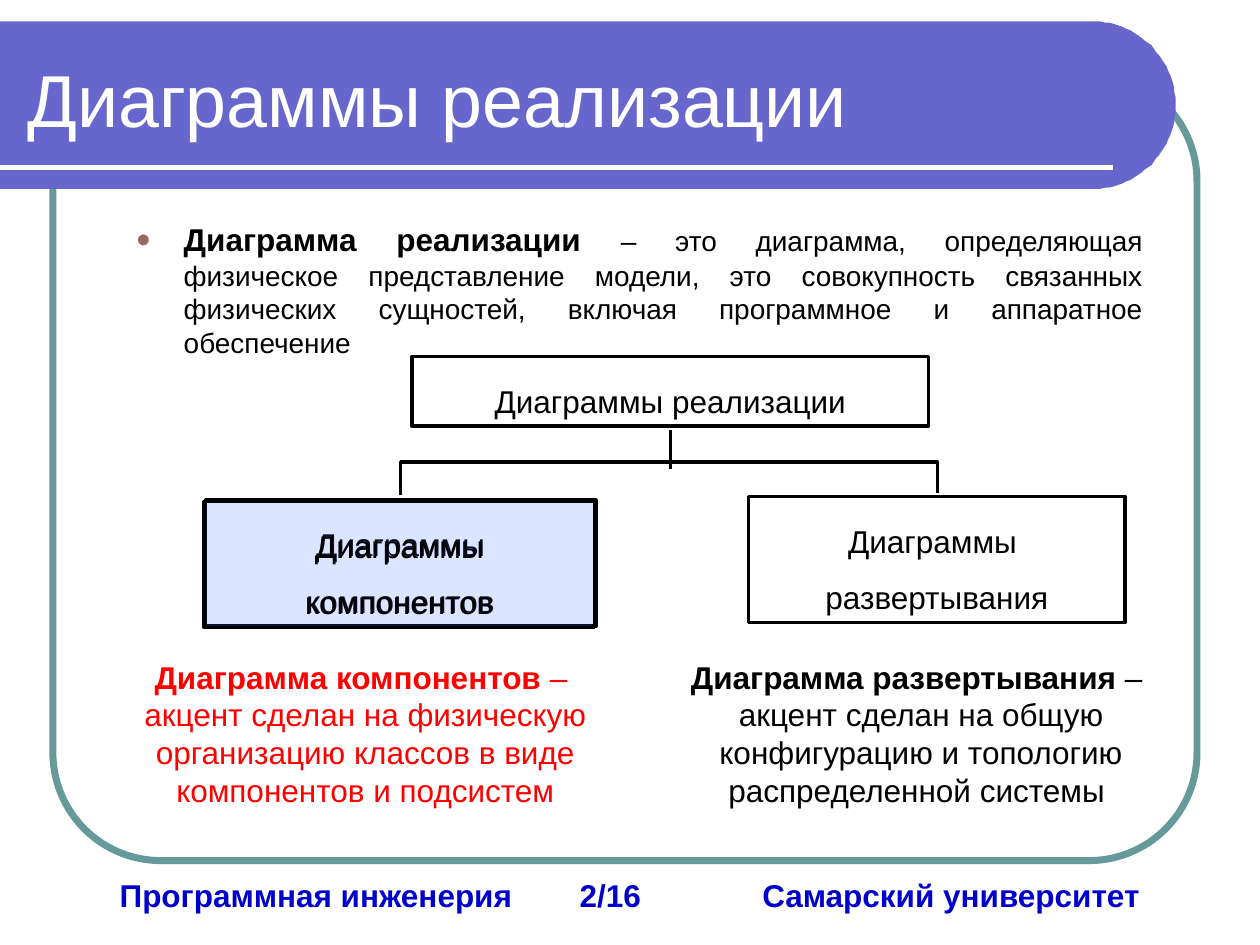
import math

from lxml import etree
from pptx import Presentation
from pptx.dml.color import RGBColor
from pptx.enum.shapes import MSO_CONNECTOR, MSO_SHAPE
from pptx.enum.text import MSO_ANCHOR, PP_ALIGN
from pptx.oxml.ns import qn
from pptx.util import Pt

PX = 9144
FONT = "Arial"
LEFT, CENTER, JUSTIFY = PP_ALIGN.LEFT, PP_ALIGN.CENTER, PP_ALIGN.JUSTIFY
TOP, MIDDLE = MSO_ANCHOR.TOP, MSO_ANCHOR.MIDDLE
RECT, ROUNDED = MSO_SHAPE.RECTANGLE, MSO_SHAPE.ROUNDED_RECTANGLE
STRAIGHT, ELBOW = MSO_CONNECTOR.STRAIGHT, MSO_CONNECTOR.ELBOW

COLORS = {
    "frame": "669999",
    "banner": "6666CC",
    "white": "FFFFFF",
    "black": "000000",
    "red": "FF0000",
    "footer": "0000CC",
    "bullet": "996666",
    "highlight": "3366FF",
}


def px(*values):
    return [round(value * PX) for value in values]


def rgb(name):
    return RGBColor.from_string(COLORS[name])


def add_xml(parent, tag, **attributes):
    return etree.SubElement(parent, qn(tag), attributes)


def apply_format(target, values):
    for attribute, value in values.items():
        setattr(target, attribute, value)


def set_outline(line, color, width):
    line.color.rgb = rgb(color)
    line.width = Pt(width)


def write_text(shape, runs, color="black", anchor=TOP, inset=10, **paragraph_format):
    frame = shape.text_frame
    margins = px(inset, 5, 10, 5)
    apply_format(frame, {
        "word_wrap": True, "vertical_anchor": anchor,
        "margin_left": margins[0], "margin_top": margins[1],
        "margin_right": margins[2], "margin_bottom": margins[3],
    })
    paragraph = frame.paragraphs[0]
    apply_format(paragraph, paragraph_format)
    for text, size, bold in runs:
        for number, part in enumerate(text.split("\n")):
            if number:
                paragraph.add_line_break()
            run = paragraph.add_run()
            run.text = part
            apply_format(run.font, {"name": FONT, "size": Pt(size), "bold": bold})
            run.font.color.rgb = rgb(color)
    return paragraph


def add_text(slide, box, runs, **text_format):
    return write_text(slide.shapes.add_textbox(*px(*box)), runs, **text_format)


def add_outlined(slide, preset, box, color, width):
    shape = slide.shapes.add_shape(preset, *px(*box))
    shape.shadow.inherit = False
    shape.fill.background()
    set_outline(shape.line, color, width)
    return shape


def add_node(slide, box, label):
    node = add_outlined(slide, RECT, box, "black", 2)
    write_text(node, [(label, 18, False)], anchor=MIDDLE, alignment=CENTER, line_spacing=1.5)
    return node


def add_line(slide, kind, start, end, color, width):
    line = slide.shapes.add_connector(kind, *px(*start, *end))
    set_outline(line.line, color, width)
    add_xml(line._element.spPr, "a:effectLst")
    return line


def add_branch(slide, start, end, rise):
    center_x, center_y = (start[0] + end[0]) / 2, (start[1] + end[1]) / 2
    half_depth, half_span = (start[1] - end[1]) / 2, (end[0] - start[0]) / 2
    branch = add_line(slide, ELBOW, (center_x + half_depth, center_y + half_span),
                      (center_x - half_depth, center_y - half_span), "black", 2)
    properties = branch._element.spPr
    properties.find(qn("a:xfrm")).set("rot", "5400000")
    geometry = properties.find(qn("a:prstGeom"))
    adjustments = geometry.find(qn("a:avLst"))
    if adjustments is None:
        adjustments = add_xml(geometry, "a:avLst")
    ratio = round(rise / (2 * half_depth) * 100000)
    add_xml(adjustments, "a:gd", name="adj1", fmla=f"val {ratio}")


def add_banner(slide, top, right, height):
    radius = height / 2
    angles = [math.radians(degree) for degree in range(-90, 91, 3)]
    arc = [(right - radius + radius * math.cos(angle),
            top + radius + radius * math.sin(angle)) for angle in angles]
    builder = slide.shapes.build_freeform(0, top, scale=PX)
    builder.add_line_segments(arc + [(0, top + height)], close=True)
    banner = builder.convert_to_shape()
    banner.shadow.inherit = False
    banner.fill.solid()
    banner.fill.fore_color.rgb = rgb("banner")
    banner.line.fill.background()


def add_definition(slide, box, runs):
    paragraph = add_text(slide, box, runs, alignment=JUSTIFY)
    properties = paragraph._p.get_or_add_pPr()
    indent = px(38)[0]
    properties.set("marL", str(indent))
    properties.set("indent", str(-indent))
    add_xml(add_xml(properties, "a:buClr"), "a:srgbClr", val=COLORS["bullet"])
    add_xml(properties, "a:buSzPct", val="80000")
    add_xml(properties, "a:buFont", typeface=FONT)
    add_xml(properties, "a:buChar", char="●")


def add_footer(slide, box, text, stops):
    paragraph = add_text(slide, box, [(text, 18, True)], color="footer", inset=52, alignment=LEFT)
    tabs = add_xml(paragraph._p.get_or_add_pPr(), "a:tabLst")
    for stop in px(*stops):
        add_xml(tabs, "a:tab", pos=str(stop), algn="l")


def highlight(node):
    node.fill.solid()
    node.fill.fore_color.rgb = rgb("highlight")
    fill_color = node._element.spPr.find(qn("a:solidFill"))[0]
    add_xml(fill_color, "a:alpha", val="17000")


def main():
    deck = Presentation()
    deck.slide_width, deck.slide_height = px(1000, 750)
    slide = deck.slides.add_slide(deck.slide_layouts[6])

    frame = add_outlined(slide, ROUNDED, (42, 58, 908, 625), "frame", 4)
    frame.adjustments[0] = 0.137
    add_banner(slide, 17, 933, 133)
    add_line(slide, STRAIGHT, (0, 133), (883, 133), "white", 3)
    add_text(slide, (12, 44, 945, 67), [("Диаграммы реализации", 42, False)],
             color="white", anchor=MIDDLE)
    add_footer(slide, (43, 690, 913, 40),
               "Программная инженерия\t2/16\tСамарский университет", (365, 510))
    add_definition(slide, (98, 170, 819, 120), [
        ("Диаграмма реализации ", 18, True),
        ("– это диаграмма, определяющая физическое представление модели, "
         "это совокупность связанных физических сущностей, включая "
         "программное и аппаратное обеспечение", 16, False),
    ])

    add_node(slide, (327, 283, 410, 55), "Диаграммы реализации")
    add_node(slide, (163, 397, 310, 100), "Диаграммы компонентов")
    add_node(slide, (594, 394, 299, 100), "Диаграммы \nразвертывания")
    add_branch(slide, (318, 393), (744, 391), 26)
    add_line(slide, STRAIGHT, (532, 341), (532, 372), "black", 2)

    explanations = [
        (83, "red", "Диаграмма компонентов ",
         "– \nакцент сделан на физическую организацию классов в виде компонентов и подсистем"),
        (524, "black", "Диаграмма развертывания ",
         "– \nакцент сделан на общую конфигурацию и топологию распределенной системы "),
    ]
    for left, color, term, meaning in explanations:
        add_text(slide, (left, 517, 414, 130), [(term, 18, True), (meaning, 18, False)],
                 color=color, alignment=CENTER)

    highlight(add_node(slide, (162, 398, 310, 100), "Диаграммы компонентов"))
    deck.save("out.pptx")


if __name__ == "__main__":
    main()
